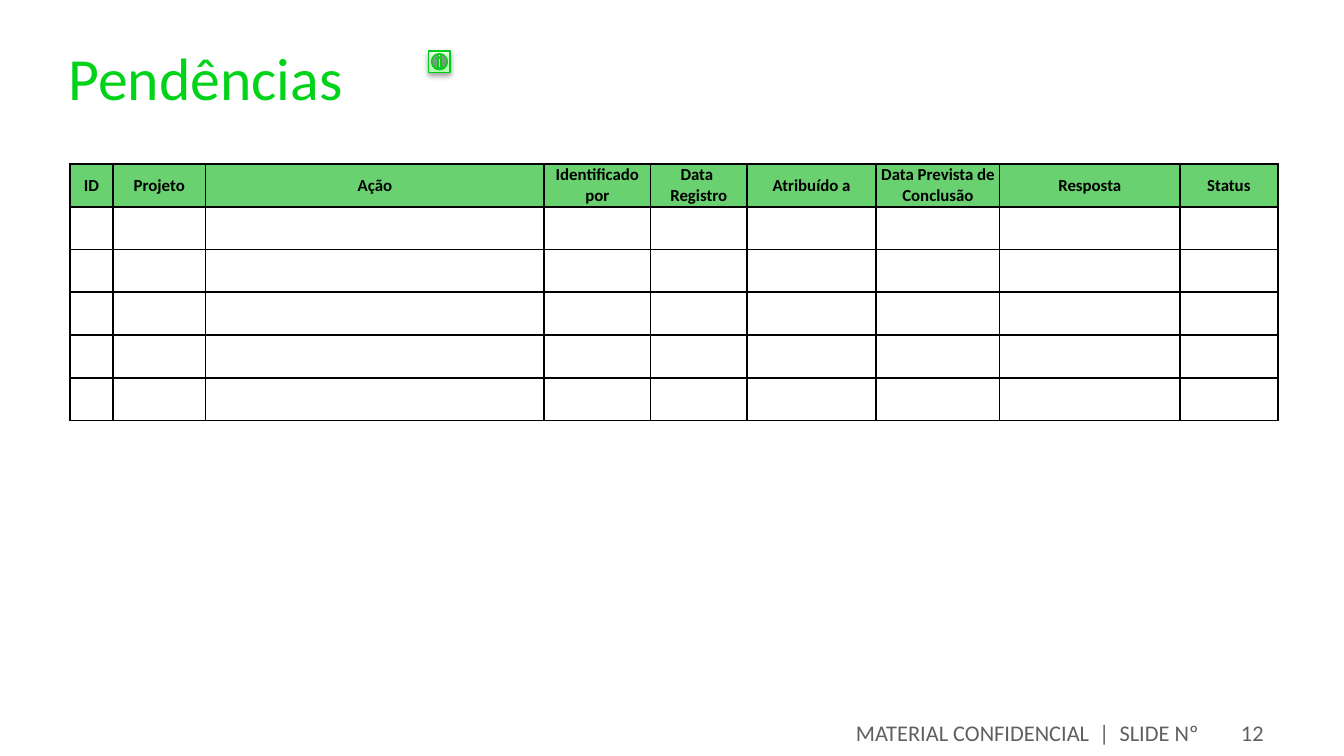
import pptx
import pptx.util
import pptx.dml.color
import pptx.enum.shapes
import pptx.enum.text
import pptx.oxml
import pptx.oxml.ns
import copy

Inches = pptx.util.Inches
Pt = pptx.util.Pt
ALIGN = pptx.enum.text.PP_ALIGN
ANCHOR = pptx.enum.text.MSO_ANCHOR
NAMESPACE = pptx.oxml.ns.nsdecls("a")

WIDTH = 10
HEIGHT = WIDTH * 9 / 16
FONT = "Calibri"
COLORS = {
    "title": "00D318",
    "footer": "5F5F5F",
    "header": "69D170",
    "text": "000000",
    "button_line": "00CE17",
    "button_start": "A8FFA9",
    "button_middle": "C2FFC2",
    "button_end": "E8FFE8",
}
TITLE = "Pendências"
FOOTER = "MATERIAL CONFIDENCIAL  |  SLIDE Nº"
PAGE = "12"
COLUMNS = [
    ("ID", 0.32),
    ("Projeto", 0.69),
    ("Ação", 2.52),
    ("Identificado por", 0.79),
    ("Data \nRegistro", 0.72),
    ("Atribuído a", 0.96),
    ("Data Prevista de Conclusão", 0.92),
    ("Resposta", 1.34),
    ("Status", 0.73),
]
ROW_COUNT = 6
TABLE_LEFT, TABLE_TOP, TABLE_HEIGHT = 0.52, 1.22, 1.91
FOOTER_TOP, FOOTER_HEIGHT = 5.33, 0.24
MARGIN, PAGE_WIDTH = 0.5, 0.48


def rgb(name):
    return pptx.dml.color.RGBColor.from_string(COLORS[name])


def format_text(text_frame, size, color, align, bold=False):
    for paragraph in text_frame.paragraphs:
        paragraph.alignment = align
        for run in paragraph.runs:
            run.font.name = FONT
            run.font.size = Pt(size)
            run.font.bold = bold
            run.font.color.rgb = rgb(color)


def add_text(slide, box, text, size, color, align, anchor, inset=None):
    shape = slide.shapes.add_textbox(*map(Inches, box))
    text_frame = shape.text_frame
    text_frame.word_wrap = True
    text_frame.vertical_anchor = anchor
    if inset is not None:
        text_frame.margin_left = text_frame.margin_right = Inches(inset)
        text_frame.margin_top = text_frame.margin_bottom = Inches(inset)
    text_frame.text = text
    format_text(text_frame, size, color, align)


def add_borders(cell):
    properties = cell._tc.get_or_add_tcPr()
    for index, side in enumerate(("lnL", "lnR", "lnT", "lnB")):
        border = pptx.oxml.parse_xml(
            f'<a:{side} {NAMESPACE} w="{Pt(1)}"><a:solidFill>'
            f'<a:srgbClr val="{COLORS["text"]}"/></a:solidFill></a:{side}>'
        )
        properties.insert(index, border)


def add_pending_table(slide):
    table_width = sum(width for _, width in COLUMNS)
    table = slide.shapes.add_table(
        ROW_COUNT, len(COLUMNS), Inches(TABLE_LEFT), Inches(TABLE_TOP),
        Inches(table_width), Inches(TABLE_HEIGHT),
    ).table
    for column, (heading, width) in enumerate(COLUMNS):
        table.columns[column].width = Inches(width)
        table.cell(0, column).text_frame.text = heading
        for row in range(ROW_COUNT):
            cell = table.cell(row, column)
            cell.margin_left = cell.margin_right = 0
            cell.margin_top = cell.margin_bottom = 0
            cell.vertical_anchor = ANCHOR.MIDDLE
            if row == 0:
                cell.fill.solid()
                cell.fill.fore_color.rgb = rgb("header")
            else:
                cell.fill.background()
            format_text(cell.text_frame, 9, "text", ALIGN.CENTER, True)
            add_borders(cell)


def add_information_button(slide):
    button = slide.shapes.add_shape(
        pptx.enum.shapes.MSO_SHAPE.ACTION_BUTTON_INFORMATION,
        *map(Inches, (3.19, 0.38, 0.16, 0.16)),
    )
    button.line.color.rgb = rgb("button_line")
    button.line.width = Pt(0.75)

    button.fill.gradient()
    button.fill.gradient_angle = 90
    first, last = button.fill.gradient_stops
    first.position, last.position = 0, 1
    first.color.rgb = rgb("button_start")
    last.color.rgb = rgb("button_end")
    stops = button._element.spPr.find(".//" + pptx.oxml.ns.qn("a:gsLst"))
    stops.insert(1, copy.deepcopy(stops[0]))
    middle = button.fill.gradient_stops[1]
    middle.position = 0.35
    middle.color.rgb = rgb("button_middle")

    button.shadow.inherit = False
    effects = button._element.spPr.find(pptx.oxml.ns.qn("a:effectLst"))
    effects.append(pptx.oxml.parse_xml(
        f'<a:outerShdw {NAMESPACE} blurRad="{Pt(3.1)}" dist="{Pt(1.6)}" '
        f'dir="5400000" rotWithShape="0"><a:srgbClr val="{COLORS["text"]}">'
        '<a:alpha val="38000"/></a:srgbClr></a:outerShdw>'
    ))


def main():
    presentation = pptx.Presentation()
    presentation.slide_width = Inches(WIDTH)
    presentation.slide_height = Inches(HEIGHT)
    slide = presentation.slides.add_slide(presentation.slide_layouts[6])

    add_text(slide, (0.51, 0.3, 8.98, 0.78), TITLE, 32, "title",
             ALIGN.LEFT, ANCHOR.TOP, 0)
    page_left = WIDTH - MARGIN - PAGE_WIDTH
    for left, width, text in (
        (MARGIN, page_left - MARGIN, FOOTER),
        (page_left, PAGE_WIDTH, PAGE),
    ):
        add_text(slide, (left, FOOTER_TOP, width, FOOTER_HEIGHT), text, 12,
                 "footer", ALIGN.RIGHT, ANCHOR.MIDDLE)
    add_pending_table(slide)
    add_information_button(slide)
    presentation.save("out.pptx")


if __name__ == "__main__":
    main()
